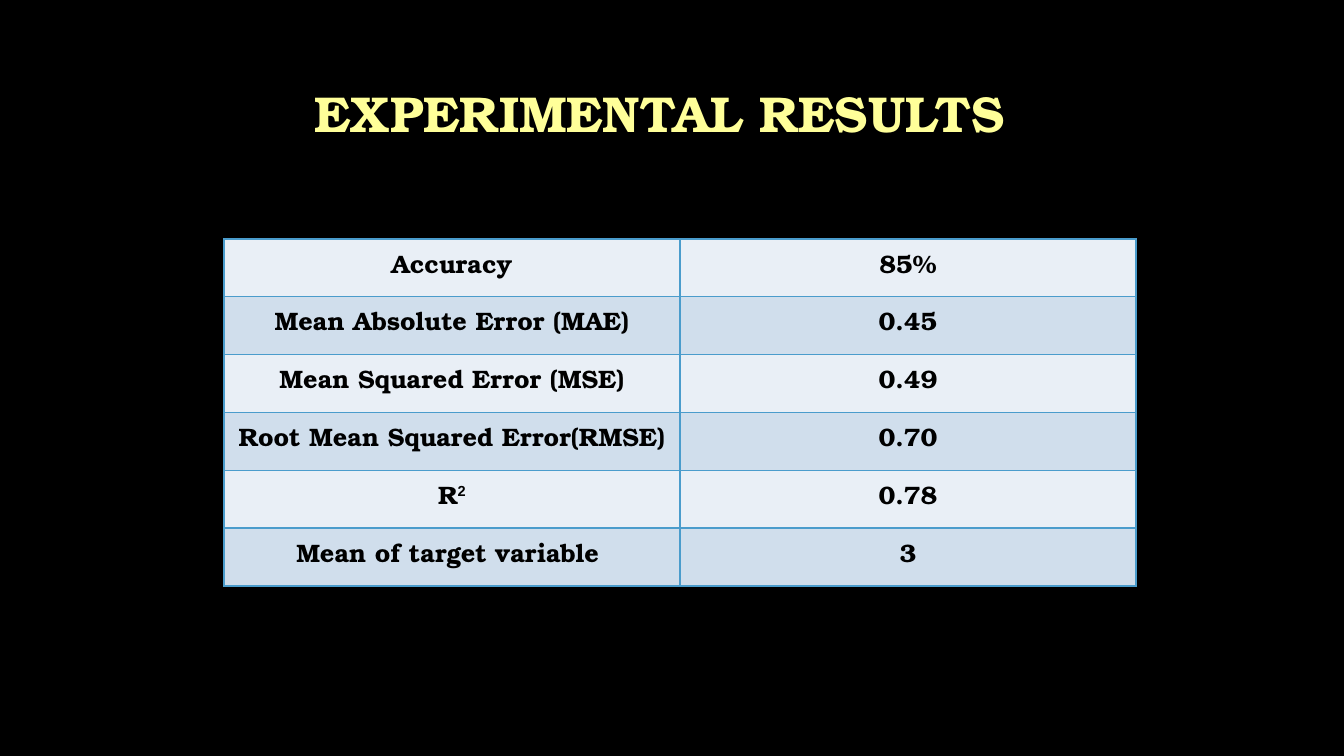
from lxml import etree
from pptx import Presentation
from pptx import util as u
from pptx.dml.color import RGBColor
from pptx.enum import text
from pptx.oxml.ns import qn

SLIDE_WIDTH, SLIDE_HEIGHT = 1344, 756
SCALE = u.Inches(1) / 100.8
FONT = "TeX Gyre Bonum"
COLORS = {
    "background": "000000",
    "title": "FFFF99",
    "ink": "000000",
    "light_row": "E9EFF6",
    "dark_row": "D0DEEC",
    "border": "4A9CCC",
}
RESULTS = [
    ("Accuracy", "85%"),
    ("Mean Absolute Error (MAE)", "0.45"),
    ("Mean Squared Error (MSE)", "0.49"),
    ("Root Mean Squared Error(RMSE)", "0.70"),
    ("R", "0.78"),
    ("Mean of target variable ", "3"),
]


def px(length):
    return u.Emu(round(length * SCALE))


def color(name):
    return RGBColor.from_string(COLORS[name])


def add_text(para, words, size=18, ink="ink", font=FONT, baseline=None):
    para.alignment = text.PP_ALIGN.CENTER
    span = para.add_run()
    span.text = words
    span.font.name = font
    span.font.size = u.Pt(size)
    span.font.bold = True
    span.font.color.rgb = color(ink)
    if baseline:
        span.font._element.set("baseline", str(baseline))


def add_borders(cell):
    properties = cell._tc.get_or_add_tcPr()
    for position, side in enumerate(("lnL", "lnR", "lnT", "lnB")):
        line = etree.Element(qn(f"a:{side}"), w=str(u.Pt(1)))
        fill = etree.SubElement(line, qn("a:solidFill"))
        etree.SubElement(fill, qn("a:srgbClr"), val=COLORS["border"])
        properties.insert(position, line)


def add_title(page, left, top, width, height):
    box = page.shapes.add_textbox(px(left), px(top), px(width), px(height))
    frame = box.text_frame
    frame.word_wrap = True
    frame.vertical_anchor = text.MSO_ANCHOR.MIDDLE
    para = frame.paragraphs[0]
    para.line_spacing = 0.9
    add_text(para, "EXPERIMENTAL RESULTS", size=36, ink="title")


def add_results(page, left, top, width, height):
    frame = page.shapes.add_table(
        len(RESULTS), 2, px(left), px(top), px(width), px(height)
    )
    table = frame.table
    table.first_row = False
    table.horz_banding = False
    for column in table.columns:
        column.width = px(width / 2)
    for index, (row, values) in enumerate(zip(table.rows, RESULTS)):
        row.height = px(height / len(RESULTS))
        for cell, words in zip(row.cells, values):
            cell.fill.solid()
            cell.fill.fore_color.rgb = color("dark_row" if index % 2 else "light_row")
            add_borders(cell)
            para = cell.text_frame.paragraphs[0]
            add_text(para, words)
            if words == "R":
                add_text(para, "2", font="Arial", baseline=30000)


def main():
    deck = Presentation()
    deck.slide_width, deck.slide_height = px(SLIDE_WIDTH), px(SLIDE_HEIGHT)
    page = deck.slides.add_slide(deck.slide_layouts[6])
    page.background.fill.solid()
    page.background.fill.fore_color.rgb = color("background")
    add_title(page, 89, 43, 1141, 146)
    add_results(page, 224, 239, 912, 347)
    deck.save("out.pptx")


if __name__ == "__main__":
    main()
